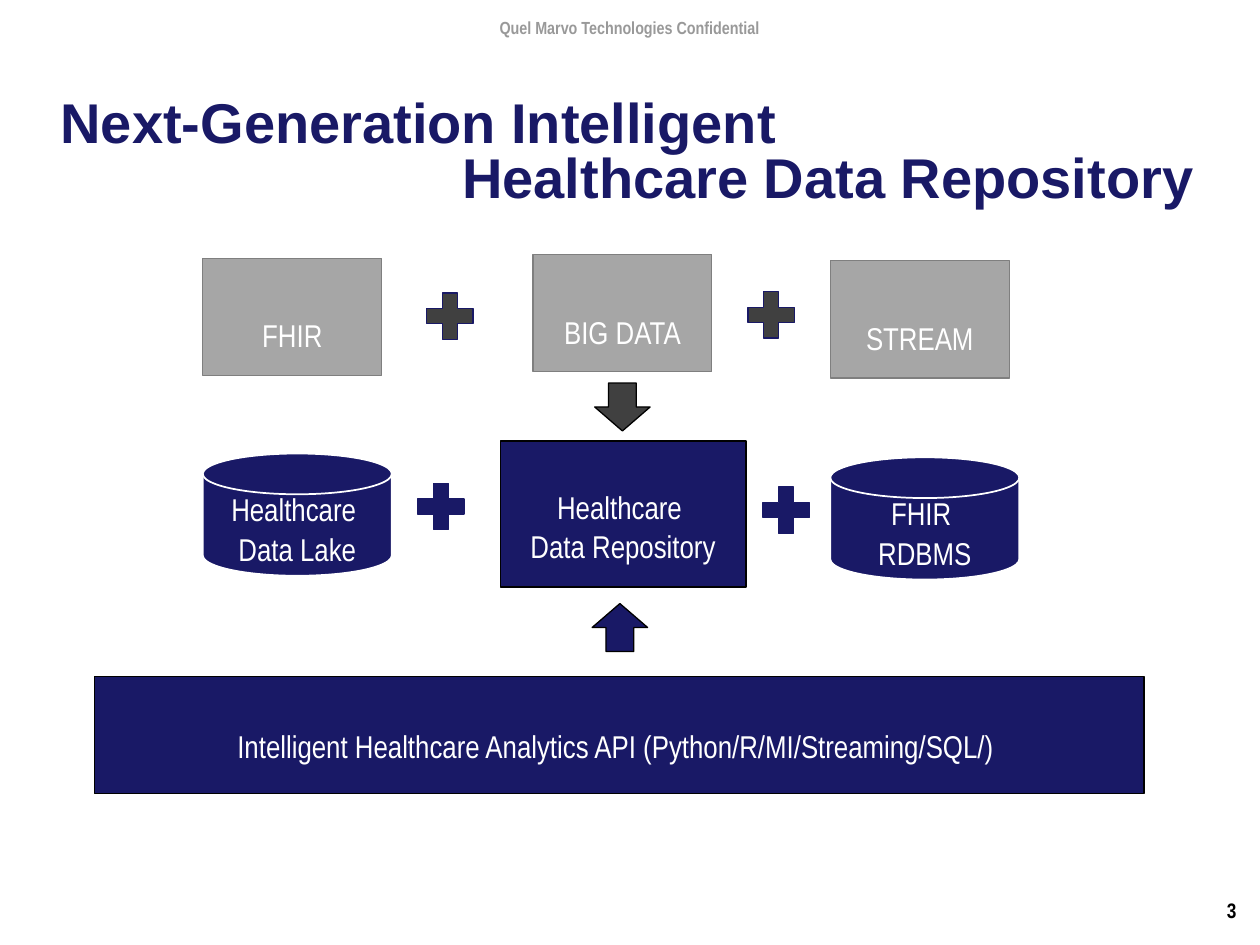
from pptx import Presentation
from pptx.dml.color import RGBColor
from pptx.enum.shapes import MSO_SHAPE as Shape
from pptx.enum.text import MSO_ANCHOR as Anchor, PP_ALIGN as Align
from pptx.util import Inches, Pt

COLORS = {
    "navy": "191966",
    "charcoal": "404040",
    "gray": "A6A6A6",
    "gray_line": "7F7F7F",
    "header": "999999",
    "white": "FFFFFF",
    "black": "000000",
}
LABEL = {"name": "Arial Narrow", "size": Pt(18), "bold": False}
HEADER = {"name": "Arial Narrow", "size": Pt(10), "bold": True}
NUMBER = {"name": "Arial Narrow", "size": Pt(12), "bold": True}
TITLE = {"name": "Arial", "size": Pt(32), "bold": True}


def color(name):
    return RGBColor.from_string(COLORS[name])


def write_text(box, lines, font, ink, aligns, spacing=0.71, gap=0,
               insets=(0.1, 0.05, 0.1, 0.05)):
    """Fill a text frame, one paragraph per line."""
    frame = box.text_frame
    left, top, right, bottom = map(Inches, insets)
    settings = {"word_wrap": True, "vertical_anchor": Anchor.TOP,
                "margin_left": left, "margin_top": top,
                "margin_right": right, "margin_bottom": bottom}
    for key, value in settings.items():
        setattr(frame, key, value)
    for index, (line, align) in enumerate(zip(lines, aligns)):
        para = frame.add_paragraph() if index else frame.paragraphs[0]
        para.alignment = align
        para.line_spacing = spacing
        para.space_before = Pt(gap if index else 0)
        span = para.add_run()
        span.text = line
        for key, value in font.items():
            setattr(span.font, key, value)
        span.font.color.rgb = color(ink)


def add_title(page, lines):
    title = page.shapes.title
    title.left, title.top = Inches(0.48), Inches(0.79)
    title.width, title.height = Inches(9), Inches(0.85)
    write_text(title, lines, TITLE, "navy", (Align.LEFT, Align.RIGHT),
               spacing=0.82, insets=(0, 0, 0, 0))


def add_note(page, place, text, font, ink, align, **layout):
    box = page.shapes.add_textbox(*map(Inches, place))
    write_text(box, [text], font, ink, [align], **layout)


def add_block(page, kind, place, fill, line, weight=0.75, lines=(), top=0.05):
    """Add a preset shape, with centred label lines if given."""
    block = page.shapes.add_shape(kind, *map(Inches, place))
    block.shadow.inherit = False
    block.fill.solid()
    block.fill.fore_color.rgb = color(fill)
    block.line.color.rgb = color(line)
    block.line.width = Pt(weight)
    if lines:
        write_text(block, lines, LABEL, "white", [Align.CENTER] * len(lines),
                   gap=7.3, insets=(0.1, top, 0.1, 0.05))


def main():
    deck = Presentation()
    deck.slide_width, deck.slide_height = Inches(10), Inches(7.5)
    page = deck.slides.add_slide(deck.slide_layouts[5])

    # Header, page number and title
    add_note(page, (3.06, 0.17, 3.87, 0.13),
             "Quel Marvo Technologies Confidential", HEADER, "header",
             Align.CENTER, spacing=0.76, insets=(0, 0, 0, 0))
    add_note(page, (9.09, 7.13, 0.82, 0.29), "3", NUMBER, "black", Align.RIGHT)
    add_title(page, ["Next-Generation Intelligent", "Healthcare Data Repository"])

    # Data sources
    for left, top, name in ((1.61, 2.05, "FHIR"), (4.23, 2.02, "BIG DATA"),
                            (6.59, 2.07, "STREAM")):
        add_block(page, Shape.RECTANGLE, (left, top, 1.42, 0.93), "gray",
                  "gray_line", lines=[name], top=0.54)

    # Data stores around the repository
    for left, top, lines in ((1.61, 3.6, ["Healthcare ", "Data Lake"]),
                             (6.59, 3.63, ["FHIR ", "RDBMS"])):
        add_block(page, Shape.FLOWCHART_MAGNETIC_DISK, (left, top, 1.5, 0.97),
                  "navy", "white", weight=1, lines=lines)
    add_block(page, Shape.RECTANGLE, (3.97, 3.5, 1.95, 1.16), "navy", "black",
              lines=["Healthcare ", "Data Repository"], top=0.45)

    # Analytics layer
    add_block(page, Shape.RECTANGLE, (0.75, 5.37, 8.33, 0.93), "navy", "black",
              lines=["Intelligent Healthcare Analytics API "
                     "(Python/R/MI/Streaming/SQL/) "], top=0.48)

    # Plus signs
    for left, top, fill in ((3.32, 2.26, "charcoal"), (5.87, 2.25, "charcoal"),
                            (3.25, 3.77, "navy"), (5.99, 3.8, "navy")):
        add_block(page, Shape.MATH_PLUS, (left, top, 0.5, 0.5), fill, "navy")

    # Arrows into the repository
    add_block(page, Shape.DOWN_ARROW, (4.72, 3.04, 0.44, 0.38), "charcoal", "black")
    add_block(page, Shape.UP_ARROW, (4.7, 4.79, 0.44, 0.38), "navy", "black")

    deck.save("out.pptx")


if __name__ == "__main__":
    main()
